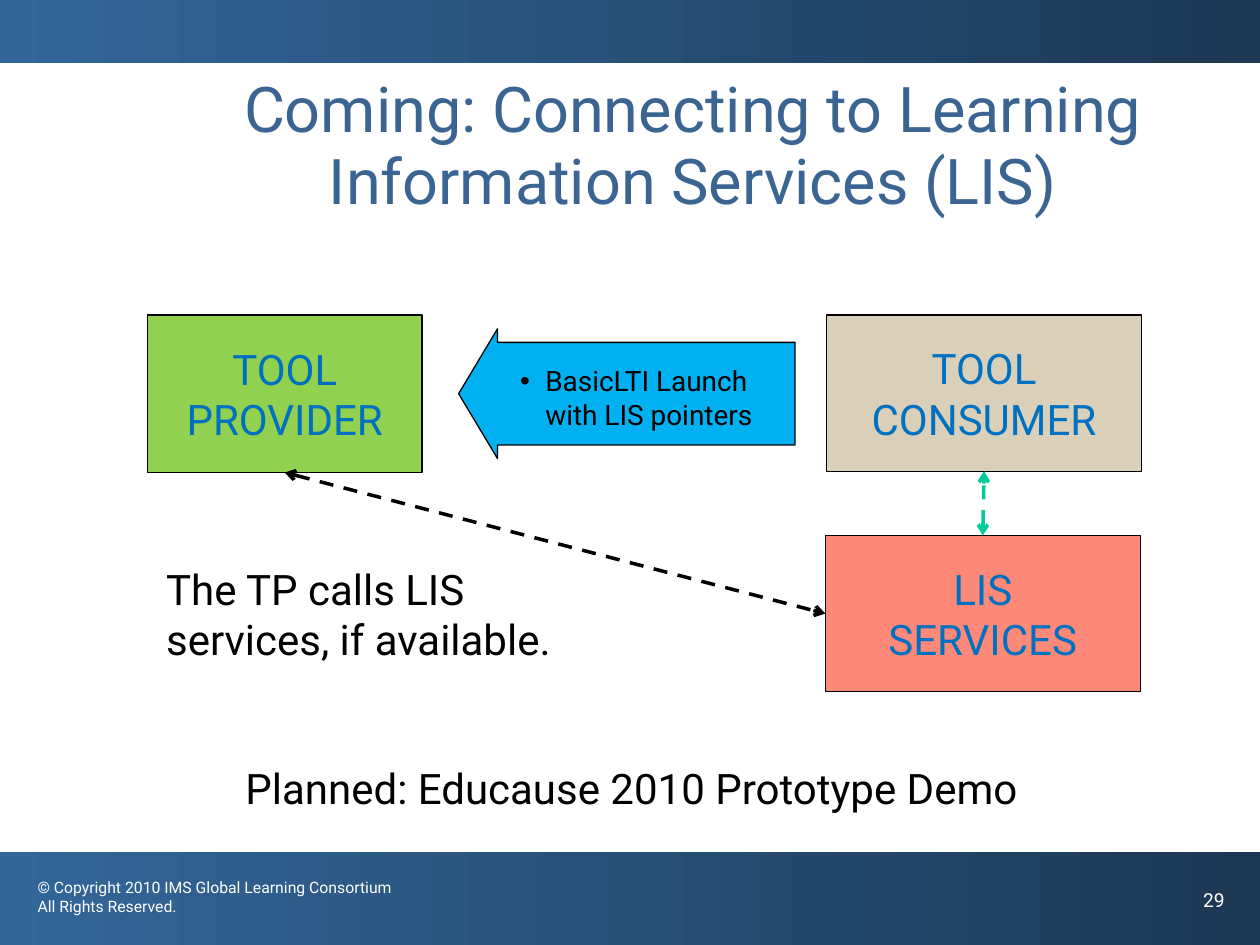
from lxml import etree
from pptx import Presentation
from pptx.dml.color import RGBColor
from pptx.enum.dml import MSO_LINE
from pptx.enum.shapes import MSO_CONNECTOR, MSO_SHAPE
from pptx.enum.text import MSO_ANCHOR, PP_ALIGN
from pptx.oxml.ns import qn
from pptx.util import Inches, Pt

COLORS = {
    "navy": "1C3853", "blue": "336699", "title": "3A6492", "label": "0070C0",
    "green": "92D050", "sand": "DACFB9", "coral": "FF8979", "sky": "00B0F0",
    "teal": "00CC99", "black": "000000", "white": "FFFFFF",
}
RGB = {name: RGBColor.from_string(value) for name, value in COLORS.items()}

prs = Presentation()
prs.slide_width, prs.slide_height = Inches(10), Inches(7.5)
slide = prs.slides.add_slide(prs.slide_layouts[6])
shapes = slide.shapes


def add_box(kind, left, top, width, height, fill):
    """Add a preset shape with a thin black outline."""
    sp = shapes.add_shape(kind, Inches(left), Inches(top), Inches(width), Inches(height))
    sp.shadow.inherit = False
    sp.fill.solid()
    sp.fill.fore_color.rgb = RGB[fill]
    sp.line.color.rgb = RGB["black"]
    sp.line.width = Pt(0.75)
    return sp


def write(sp, lines, size, color, align=PP_ALIGN.LEFT, wrap=True):
    """Write one paragraph per line and return the text frame."""
    tf = sp.text_frame
    tf.word_wrap = wrap
    for i, line in enumerate(lines):
        p = tf.paragraphs[0] if i == 0 else tf.add_paragraph()
        p.alignment = align
        r = p.add_run()
        r.text = line
        r.font.name = "Roboto"
        r.font.size = Pt(size)
        r.font.color.rgb = RGB[color]
    return tf


# Gradient bands at top and bottom
for top, height in [(0, 0.5), (6.76, 0.74)]:
    band = add_box(MSO_SHAPE.RECTANGLE, 0, top, 10, height, "blue")
    band.line.fill.background()
    band.fill.gradient()
    band.fill.gradient_angle = 180
    for stop, position, name in zip(band.fill.gradient_stops, (0, 1), ("navy", "blue")):
        stop.position = position
        stop.color.rgb = RGB[name]

# Title, captions and footer
texts = [
    (0.2, 6.92, 3.13, 0.5, 9, "white", True,
     ["© Copyright 2010 IMS Global Learning Consortium", "All Rights Reserved."]),
    (9.45, 7, 0.55, 0.5, 11, "white", True, ["29"]),
    (1.22, 4.42, 3.92, 0.9, 24, "black", True,
     ["The TP calls LIS", "services, if available."]),
    (1.85, 6, 6.66, 0.5, 24, "black", False, ["Planned: Educause 2010 Prototype Demo"]),
]
for left, top, width, height, size, color, wrap, lines in texts:
    sp = shapes.add_textbox(Inches(left), Inches(top), Inches(width), Inches(height))
    write(sp, lines, size, color, wrap=wrap)

title = shapes.add_textbox(Inches(1.25), Inches(0.55), Inches(8.5), Inches(1.25))
tf = write(title, ["Coming: Connecting to Learning Information Services (LIS)"],
           36, "title", PP_ALIGN.CENTER)
tf.paragraphs[0].line_spacing = 0.95

# System boxes
boxes = {}
for name, left, top, width, height, fill, lines in [
    ("provider", 1.17, 2.5, 2.18, 1.25, "green", ["TOOL PROVIDER"]),
    ("consumer", 6.56, 2.5, 2.5, 1.24, "sand", ["TOOL CONSUMER"]),
    ("services", 6.55, 4.25, 2.5, 1.24, "coral", ["LIS", "SERVICES"]),
]:
    sp = boxes[name] = add_box(MSO_SHAPE.RECTANGLE, left, top, width, height, fill)
    tf = write(sp, lines, 24, "label", PP_ALIGN.CENTER)
    tf.vertical_anchor = MSO_ANCHOR.MIDDLE

# Launch arrow with its bulleted label
arrow = add_box(MSO_SHAPE.LEFT_ARROW, 3.64, 2.61, 2.67, 1.03, "sky")
arrow.adjustments[0] = 0.79
arrow.adjustments[1] = 0.3
label = shapes.add_textbox(Inches(4.03), Inches(2.84), Inches(2.22), Inches(0.9))
tf = write(label, ["BasicLTI Launch with LIS pointers"], 16, "black")
pPr = tf.paragraphs[0]._p.get_or_add_pPr()
pPr.set("marL", str(Inches(0.2)))
pPr.set("indent", str(Inches(-0.2)))
etree.SubElement(pPr, qn("a:buFont"), typeface="Arial")
etree.SubElement(pPr, qn("a:buChar"), char="•")

# Dashed two-way connectors
for start, start_side, end, end_side, color in [
    ("provider", 2, "services", 1, "black"),
    ("services", 0, "consumer", 2, "teal"),
]:
    line = shapes.add_connector(MSO_CONNECTOR.STRAIGHT, 0, 0, 0, 0)
    line.begin_connect(boxes[start], start_side)
    line.end_connect(boxes[end], end_side)
    line.line.color.rgb = RGB[color]
    line.line.width = Pt(2)
    line.line.dash_style = MSO_LINE.DASH
    ln = line.line._get_or_add_ln()
    for tag in ("a:headEnd", "a:tailEnd"):
        etree.SubElement(ln, qn(tag), type="arrow")
    etree.SubElement(line._element.spPr, qn("a:effectLst"))

prs.save("out.pptx")
